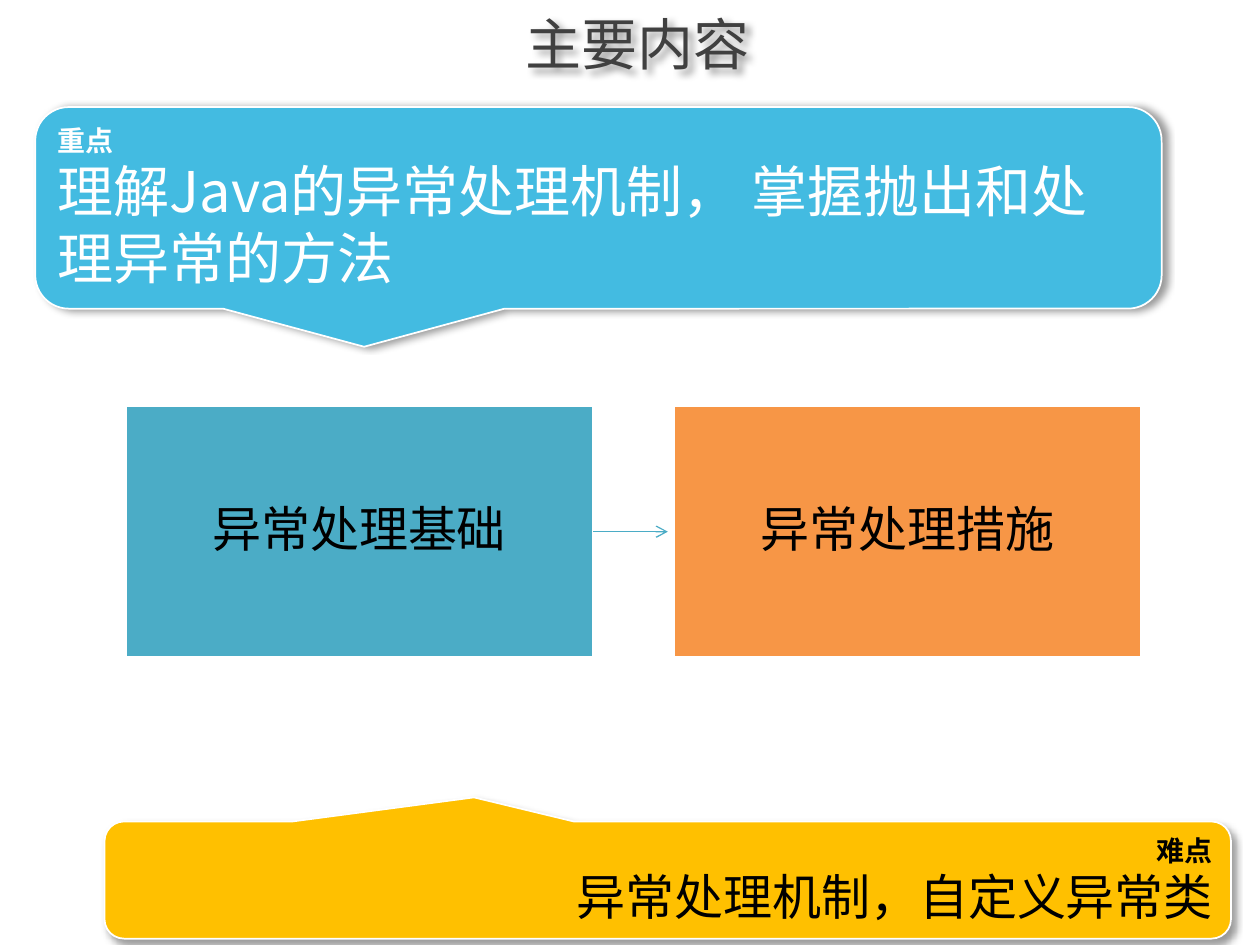
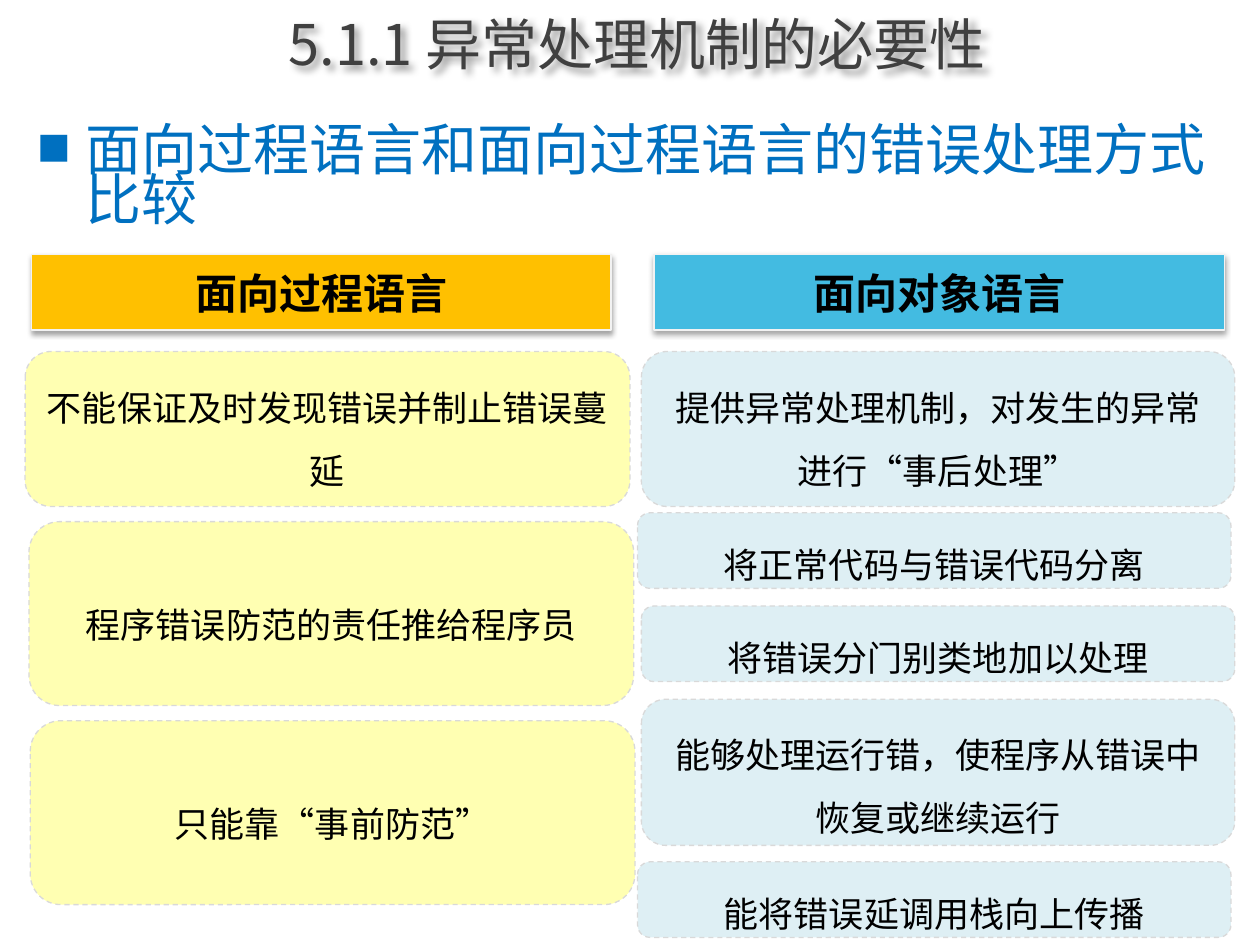
from dataclasses import dataclass

from lxml.etree import SubElement
from pptx import Presentation
from pptx.dml.color import RGBColor
from pptx.enum.dml import MSO_LINE
from pptx.enum.shapes import MSO_CONNECTOR, MSO_SHAPE
from pptx.enum.text import MSO_ANCHOR, PP_ALIGN
from pptx.oxml.ns import qn
from pptx.util import Inches, Pt


@dataclass(frozen=True)
class Theme:
    font: str = "Noto Sans CJK SC"
    title: str = "404040"
    black: str = "000000"
    white: str = "FFFFFF"
    blue: str = "43BBE1"
    amber: str = "FFC000"
    teal: str = "4BACC6"
    orange: str = "F79646"
    heading: str = "0070C0"
    yellow: str = "FFFF00"
    pale_blue: str = "93CDDD"
    header_line: str = "F2F2F2"
    point_line: str = "D9D9D9"
    large: int = 32
    medium: int = 28
    header: int = 24
    point: int = 20
    label: int = 16


theme = Theme()


def style_shape(shape, fill=None, line=None, width=0.75, shadow=None):
    """Set fill and outline; shadow is (opacity %, blur pt, distance pt, angle)."""
    shape.shadow.inherit = False
    if fill:
        shape.fill.solid()
        shape.fill.fore_color.rgb = RGBColor.from_string(fill)
    if line:
        shape.line.color.rgb = RGBColor.from_string(line)
        shape.line.width = Pt(width)
    if shadow:
        opacity, blur, distance, angle = shadow
        effects = shape._element.spPr.find(qn("a:effectLst"))
        outer = SubElement(effects, qn("a:outerShdw"), blurRad=str(Pt(blur)),
                           dist=str(Pt(distance)), dir=str(angle * 60000),
                           algn="tl", rotWithShape="0")
        color = SubElement(outer, qn("a:srgbClr"), val=theme.black)
        SubElement(color, qn("a:alpha"), val=str(opacity * 1000))


def write_text(shape, lines, color, align=PP_ALIGN.CENTER,
               anchor=MSO_ANCHOR.MIDDLE, spacing=None):
    """Write one paragraph for each (text, size, bold) line."""
    frame = shape.text_frame
    frame.word_wrap = True
    frame.vertical_anchor = anchor
    for index, (text, size, bold) in enumerate(lines):
        paragraph = frame.add_paragraph() if index else frame.paragraphs[0]
        paragraph.alignment = align
        if spacing:
            paragraph.line_spacing = spacing
        run = paragraph.add_run()
        run.text = text
        run.font.size = Pt(size)
        run.font.bold = bold
        run.font.color.rgb = RGBColor.from_string(color)
        run.font.name = theme.font
        SubElement(run._r.get_or_add_rPr(), qn("a:ea"), typeface=theme.font)


presentation = Presentation()
presentation.slide_width = Inches(10)
presentation.slide_height = Inches(7.5)

# Slides and their titles
slides = []
for title_text in ("主要内容", "5.1.1 异常处理机制的必要性"):
    slide = presentation.slides.add_slide(presentation.slide_layouts[5])
    title = slide.shapes.title
    title.left, title.top = Inches(0.72), Inches(0)
    title.width, title.height = Inches(8.68), Inches(0.68)
    style_shape(title, shadow=(40, 4, 3, 45))
    write_text(title, [(title_text, theme.large, False)], theme.title)
    slides.append(slide)
overview, comparison = slides

# Overview: the two topics
topics = []
for left, text, fill in ((0.99, "异常处理基础", theme.teal),
                         (5.34, "异常处理措施", theme.orange)):
    topic = overview.shapes.add_shape(MSO_SHAPE.RECTANGLE, Inches(left), Inches(3.22),
                                      Inches(3.72), Inches(2))
    style_shape(topic, fill, theme.white, 2)
    write_text(topic, [(text, theme.medium, False)], theme.black, spacing=0.9)
    topics.append(topic)

# Overview: arrow between the topics
arrow = overview.shapes.add_connector(MSO_CONNECTOR.STRAIGHT, Inches(4.71), Inches(4.22),
                                      Inches(5.3), Inches(4.22))
arrow.begin_connect(topics[0], 3)
arrow.line.color.rgb = RGBColor.from_string(theme.teal)
arrow.line.width = Pt(0.75)
SubElement(arrow.line._get_or_add_ln(), qn("a:tailEnd"), type="arrow")
SubElement(arrow._element.spPr, qn("a:effectLst"))

# Overview: callouts for the key point and the difficult point
callouts = (
    (0.28, 0.85, 1.6, (-0.208, 0.689), theme.blue, theme.white, PP_ALIGN.LEFT, 0,
     "重点", "理解Java的异常处理机制， 掌握抛出和处理异常的方法", theme.large),
    (0.83, 6.52, 0.93, (-0.172, -0.706), theme.amber, theme.black, PP_ALIGN.RIGHT, 45,
     "难点", "异常处理机制，自定义异常类", theme.medium),
)
for left, top, height, tip, fill, color, align, angle, label, text, size in callouts:
    callout = overview.shapes.add_shape(MSO_SHAPE.ROUNDED_RECTANGULAR_CALLOUT, Inches(left),
                                        Inches(top), Inches(8.94), Inches(height))
    callout.adjustments[0], callout.adjustments[1] = tip
    style_shape(callout, fill, theme.white, 1, (40, 4, 3, angle))
    write_text(callout, [(label, theme.label, True), (text, size, False)], color,
               align, MSO_ANCHOR.TOP)

# Comparison: bulleted heading
heading = comparison.shapes.add_textbox(Inches(0.2), Inches(0.99), Inches(9.61), Inches(1.03))
write_text(heading, [("面向过程语言和面向过程语言的错误处理方式比较", theme.large, False)],
           theme.heading, PP_ALIGN.LEFT, MSO_ANCHOR.TOP, 0.74)
heading_paragraph = heading.text_frame.paragraphs[0]
heading_paragraph.space_before = Pt(4)
properties = heading_paragraph._p.get_or_add_pPr()
properties.set("marL", str(Inches(0.38)))
properties.set("indent", str(-Inches(0.38)))
SubElement(properties, qn("a:buSzPct"), val="60000")
SubElement(properties, qn("a:buFont"), typeface=theme.font)
SubElement(properties, qn("a:buChar"), char="■")

# Comparison: column headers
for left, width, text, fill in ((0.25, 4.6, "面向过程语言", theme.amber),
                                (5.19, 4.53, "面向对象语言", theme.blue)):
    header = comparison.shapes.add_shape(MSO_SHAPE.RECTANGLE, Inches(left), Inches(2.02),
                                         Inches(width), Inches(0.6))
    style_shape(header, fill, theme.header_line, shadow=(35, 3.1, 1.8, 90))
    write_text(header, [(text, theme.header, True)], theme.black)

# Comparison: points in each column, as left, top, height, anchor, text
procedural_points = (
    (0.2, 2.79, 1.23, MSO_ANCHOR.TOP, "不能保证及时发现错误并制止错误蔓延"),
    (0.23, 4.14, 1.46, MSO_ANCHOR.MIDDLE, "程序错误防范的责任推给程序员"),
    (0.24, 5.72, 1.46, MSO_ANCHOR.MIDDLE, "只能靠“事前防范”"),
)
object_points = (
    (5.09, 2.79, 1.23, MSO_ANCHOR.TOP, "提供异常处理机制，对发生的异常进行“事后处理”"),
    (5.06, 4.07, 0.6, MSO_ANCHOR.TOP, "将正常代码与错误代码分离"),
    (5.09, 4.81, 0.6, MSO_ANCHOR.TOP, "将错误分门别类地加以处理"),
    (5.09, 5.55, 1.16, MSO_ANCHOR.TOP, "能够处理运行错，使程序从错误中恢复或继续运行"),
    (5.06, 6.84, 0.6, MSO_ANCHOR.TOP, "能将错误延调用栈向上传播"),
)
for width, fill, points in ((4.8, theme.yellow, procedural_points),
                            (4.71, theme.pale_blue, object_points)):
    for left, top, height, anchor, text in points:
        point = comparison.shapes.add_shape(MSO_SHAPE.ROUNDED_RECTANGLE, Inches(left),
                                            Inches(top), Inches(width), Inches(height))
        style_shape(point, fill, theme.point_line)
        point.line.dash_style = MSO_LINE.DASH
        fill_color = point._element.spPr.find(qn("a:solidFill")).find(qn("a:srgbClr"))
        SubElement(fill_color, qn("a:alpha"), val="30000")
        write_text(point, [(text, theme.point, False)], theme.black,
                   anchor=anchor, spacing=1.5)

presentation.save("out.pptx")
